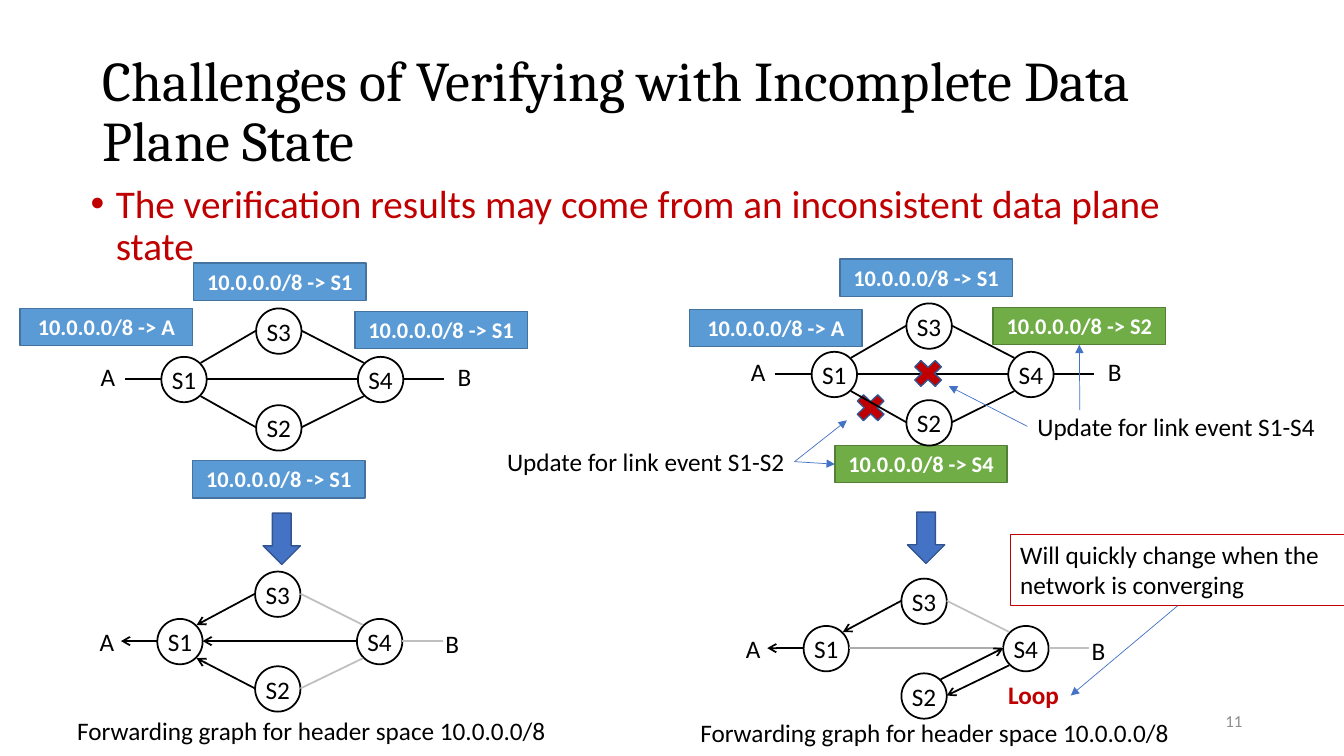
from lxml.etree import SubElement
from pptx import Presentation
from pptx.dml.color import RGBColor
from pptx.enum.shapes import MSO_CONNECTOR, MSO_SHAPE
from pptx.enum.text import MSO_ANCHOR, MSO_AUTO_SIZE, PP_ALIGN
from pptx.oxml.ns import qn
from pptx.util import Pt

EMU_PER_PX = 9144
BLACK = RGBColor(0x00, 0x00, 0x00)
WHITE = RGBColor(0xFF, 0xFF, 0xFF)
RED = RGBColor(0xC0, 0x00, 0x00)
BLUE = RGBColor(0x5B, 0x9B, 0xD5)
BLUE_EDGE = RGBColor(0x43, 0x73, 0x9E)
GREEN = RGBColor(0x70, 0xAD, 0x47)
GREEN_EDGE = RGBColor(0x53, 0x80, 0x35)
ARROW_BLUE = RGBColor(0x44, 0x72, 0xC4)
ARROW_EDGE = RGBColor(0x32, 0x54, 0x91)
LIGHT = RGBColor(0xBF, 0xBF, 0xBF)
WARM_GRAY = RGBColor(0xAF, 0xAB, 0xAB)
NUMBER_GRAY = RGBColor(0x8C, 0x8C, 0x8C)

NODE = 45
CENTRE = 22
RIM_NEAR, RIM_FAR = 6, 39
STUB = 36

PLAIN = (BLACK, None)
ACTIVE = (BLACK, "arrow")
UNUSED = (LIGHT, None)


def px(*values):
    return [v * EMU_PER_PX for v in values]


def write(sp, text, size, color=BLACK, bold=False, align=PP_ALIGN.LEFT,
          anchor=MSO_ANCHOR.TOP, font="Calibri"):
    tf = sp.text_frame
    tf.text = text
    tf.word_wrap = True
    tf.auto_size = MSO_AUTO_SIZE.NONE
    tf.vertical_anchor = anchor
    p = tf.paragraphs[0]
    p.alignment = align
    r = p.runs[0]
    r.font.name = font
    r.font.size = Pt(size)
    r.font.bold = bold
    r.font.color.rgb = color
    return p


def add_text(shapes, box, text, size=18, **style):
    sp = shapes.add_textbox(*px(*box))
    write(sp, text, size, **style)
    return sp


def add_preset(shapes, kind, box, fill, edge, width=1):
    sp = shapes.add_shape(kind, *px(*box))
    sp.shadow.inherit = False
    sp.fill.solid()
    sp.fill.fore_color.rgb = fill
    sp.line.color.rgb = edge
    sp.line.width = Pt(width)
    return sp


def add_line(shapes, start, end, color, width=1.25, arrow=None):
    cx = shapes.add_connector(MSO_CONNECTOR.STRAIGHT, *px(*start, *end))
    cx.line.color.rgb = color
    cx.line.width = Pt(width)
    if arrow:
        SubElement(cx.line._get_or_add_ln(), qn("a:tailEnd"), type=arrow)
    SubElement(cx._element.spPr, qn("a:effectLst"))
    return cx


def add_pointer(shapes, start, end, source=None, target=None):
    cx = add_line(shapes, start, end, ARROW_BLUE, 0.5, "triangle")
    if source:
        cx.begin_connect(*source)
    if target:
        cx.end_connect(*target)


def add_rule(shapes, x, y, hop, fill=BLUE, edge=BLUE_EDGE):
    sp = add_preset(shapes, MSO_SHAPE.RECTANGLE, (x, y, 171, 37), fill, edge)
    write(sp, f"10.0.0.0/8 -> {hop}", 16, WHITE, True, PP_ALIGN.CENTER)
    return sp


def add_node(shapes, x, y, name):
    sp = add_preset(shapes, MSO_SHAPE.OVAL, (x, y, NODE, NODE), WHITE, BLACK, 1.25)
    write(sp, name, 18, align=PP_ALIGN.CENTER, anchor=MSO_ANCHOR.MIDDLE)
    sp.text_frame.margin_left = sp.text_frame.margin_right = 0


def add_graph(s, x, y, gap, mid, rise, label_a, label_b, links):
    shapes = s.shapes.add_group_shape().shapes
    nodes = {"S1": (0, 0), "S4": (gap, 0), "S2": (mid, rise), "S3": (mid, -rise)}
    for name, (dx, dy) in nodes.items():
        add_node(shapes, x + dx, y + dy, name)
    upper, lower = CENTRE - rise, CENTRE + rise
    ends = {
        "S1-A": ((0, CENTRE), (-STUB, CENTRE)),
        "S4-B": ((gap + NODE, CENTRE), (gap + NODE + 40, CENTRE)),
        "S4-S1": ((gap, CENTRE), (NODE, CENTRE)),
        "S3-S1": ((mid, upper), (RIM_FAR, RIM_NEAR)),
        "S2-S1": ((mid, lower), (RIM_FAR, RIM_FAR)),
        "S4-S3": ((gap + RIM_NEAR, RIM_NEAR), (mid + NODE, upper)),
        "S4-S2": ((gap + RIM_NEAR, RIM_FAR), (mid + NODE, lower)),
        "S2-S4": ((mid + RIM_FAR, rise + RIM_NEAR), (gap, CENTRE)),
    }
    for name, (color, arrow) in links.items():
        (x1, y1), (x2, y2) = ends[name]
        add_line(shapes, (x + x1, y + y1), (x + x2, y + y2), color, arrow=arrow)
    for name, (dx, dy), width in (("A", label_a, 36), ("B", label_b, 60)):
        add_text(shapes, (x + dx, y + dy, width, 40), name)


def add_heading(s):
    title = s.shapes.title
    title.left, title.top, title.width, title.height = px(92, 40, 1150, 145)
    p = write(title, "Challenges of Verifying with Incomplete Data Plane State", 40,
              anchor=MSO_ANCHOR.MIDDLE, font="Cambria")
    p.line_spacing = 0.9
    sp = s.shapes.add_textbox(*px(80, 178, 1150, 476))
    p = write(sp, "The verification results may come from an inconsistent data plane state",
              28, RED)
    p.line_spacing = 0.9
    pPr = p._p.get_or_add_pPr()
    pPr.set("marL", str(25 * EMU_PER_PX))
    pPr.set("indent", str(-25 * EMU_PER_PX))
    SubElement(pPr, qn("a:buFont"), typeface="Arial")
    SubElement(pPr, qn("a:buChar"), char="•")
    add_text(s.shapes, (942, 695, 300, 40), "11", 12, color=NUMBER_GRAY,
             align=PP_ALIGN.RIGHT, anchor=MSO_ANCHOR.MIDDLE)


def main():
    prs = Presentation()
    prs.slide_width, prs.slide_height = px(1333, 750)
    s = prs.slides.add_slide(prs.slide_layouts[5])
    shapes = s.shapes
    add_heading(s)

    for x, y, hop in ((20, 306, "A"), (192, 261, "S1"), (191, 457, "S1"),
                      (352, 309, "S1"), (684, 307, "A"), (833, 257, "S1")):
        add_rule(shapes, x, y, hop)
    rule_s2 = add_rule(shapes, 985, 305, "S2", GREEN, GREEN_EDGE)
    rule_s4 = add_rule(shapes, 828, 442, "S4", GREEN, GREEN_EDGE)
    for x, y in ((261, 509), (900, 508)):
        add_preset(shapes, MSO_SHAPE.DOWN_ARROW, (x, y, 37, 51), ARROW_BLUE, ARROW_EDGE)
    for x, y in ((39, 705), (657, 707)):
        add_text(shapes, (x, y, 540, 40), "Forwarding graph for header space 10.0.0.0/8",
                 align=PP_ALIGN.CENTER)

    topology = dict.fromkeys(
        ("S1-A", "S4-B", "S4-S1", "S3-S1", "S2-S1", "S4-S3", "S4-S2"), PLAIN)
    consistent = {"S1-A": ACTIVE, "S4-B": UNUSED, "S4-S1": ACTIVE, "S3-S1": ACTIVE,
                  "S2-S1": ACTIVE, "S4-S3": UNUSED, "S4-S2": UNUSED}
    looping = {"S1-A": ACTIVE, "S4-B": UNUSED, "S4-S1": (WARM_GRAY, None),
               "S3-S1": ACTIVE, "S4-S3": UNUSED, "S4-S2": ACTIVE, "S2-S4": ACTIVE}
    cross = (MSO_SHAPE.MATH_MULTIPLY, RED, ARROW_EDGE)
    add_preset(shapes, cross[0], (844, 386, 39, 37), *cross[1:])
    for x, y in ((160, 354), (805, 349)):
        add_graph(s, x, y, 195, 94, 48, (-70, 0), (284, 0), topology)
    add_preset(shapes, cross[0], (901, 352, 39, 37), *cross[1:])
    for x, y, links in ((156, 614, consistent), (797, 621, looping)):
        add_graph(s, x, y, 198, 97, 47, (-67, 2), (276, 4), links)

    add_text(shapes, (990, 669, 99, 40), "Loop", color=RED, bold=True)
    event_s2 = add_text(shapes, (482, 438, 306, 40), "Update for link event S1-S2",
                        align=PP_ALIGN.RIGHT)
    event_s4 = add_text(shapes, (1019, 403, 301, 40), "Update for link event S1-S4")
    note = add_preset(shapes, MSO_SHAPE.RECTANGLE, (1002, 530, 332, 71), WHITE, RED)
    write(note, "Will quickly change when the network is converging", 18)

    add_pointer(shapes, (788, 458), (840, 417), source=(event_s2, 3))
    add_pointer(shapes, (788, 458), (828, 460), (event_s2, 3), (rule_s4, 1))
    add_pointer(shapes, (1019, 423), (941, 383), source=(event_s4, 1))
    add_pointer(shapes, (1071, 407), (1071, 342), target=(rule_s2, 2))
    add_pointer(shapes, (1168, 601), (1062, 690), source=(note, 2))
    prs.save("out.pptx")


if __name__ == "__main__":
    main()
